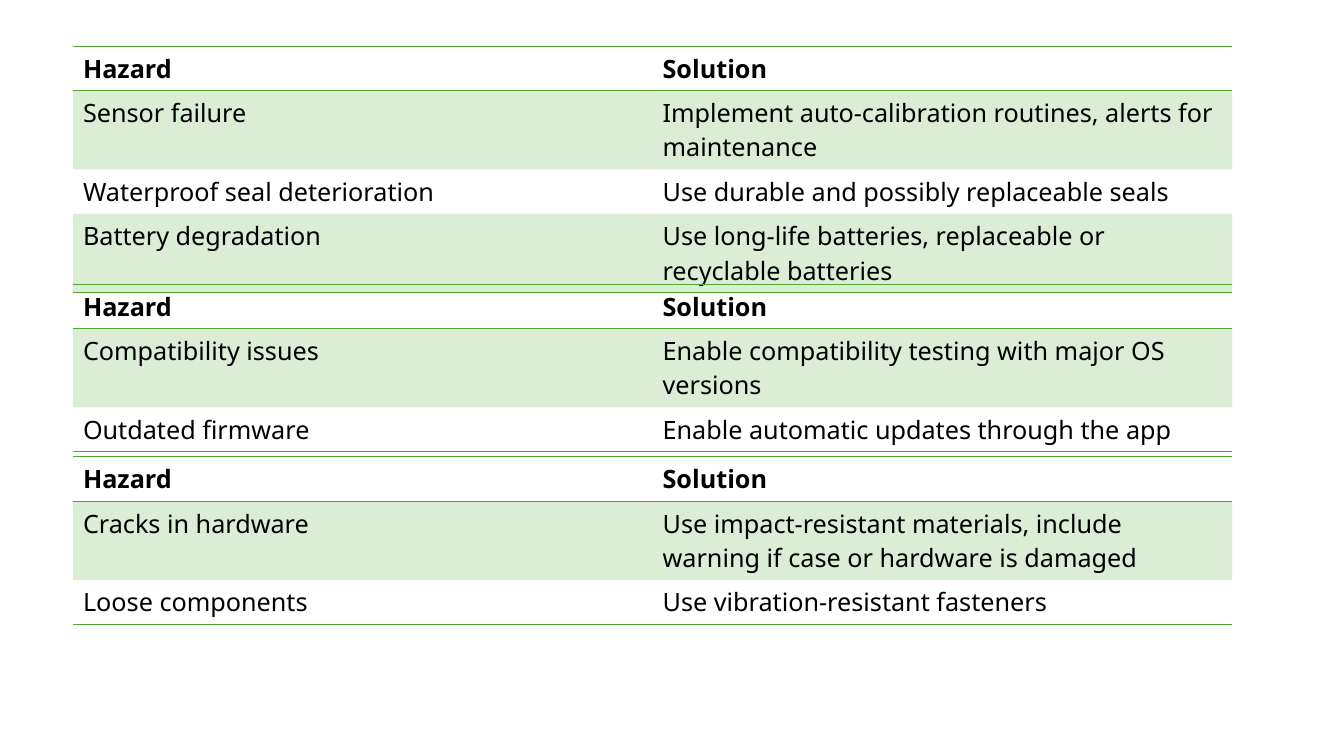
from lxml.etree import SubElement
from pptx import Presentation
from pptx.dml.color import RGBColor
from pptx.oxml import parse_xml
from pptx.oxml.ns import nsdecls, qn
from pptx.util import Pt

GREEN = RGBColor(0x4E, 0xA7, 0x2E)
BLACK = RGBColor(0x00, 0x00, 0x00)
FONT = "Noto Sans"
PLAIN_STYLE = "{2D5ABB26-0587-4C30-8999-92F81FD0307C}"
LEFT, WIDTH, ROW_HEIGHT = Pt(52.1), Pt(828), Pt(29.2)
HEADINGS = ("Hazard", "Solution")

HAZARD_GROUPS = [
    (Pt(33.1), [
        ("Sensor failure",
         "Implement auto-calibration routines, alerts for maintenance"),
        ("Waterproof seal deterioration",
         "Use durable and possibly replaceable seals"),
        ("Battery degradation",
         "Use long-life batteries, replaceable or recyclable batteries"),
    ]),
    (Pt(203.1), [
        ("Compatibility issues",
         "Enable compatibility testing with major OS versions"),
        ("Outdated firmware", "Enable automatic updates through the app"),
    ]),
    (Pt(326.2), [
        ("Cracks in hardware",
         "Use impact-resistant materials, include warning if case or "
         "hardware is damaged"),
        ("Loose components", "Use vibration-resistant fasteners"),
    ]),
]


def rule_cell(cell, edges):
    """Draw a green rule along the given edges of a cell."""
    properties = cell._tc.get_or_add_tcPr()
    for position, edge in enumerate(edges):
        properties.insert(position, parse_xml(
            f'<a:{edge} {nsdecls("a")} w="{Pt(1)}"><a:solidFill>'
            f'<a:srgbClr val="{GREEN}"/></a:solidFill></a:{edge}>'))


def shade_cell(cell, banded):
    """Give a cell the translucent green band, or leave it clear."""
    if not banded:
        cell.fill.background()
        return
    cell.fill.solid()
    cell.fill.fore_color.rgb = GREEN
    for colour in cell._tc.tcPr.iter(qn("a:srgbClr")):
        SubElement(colour, qn("a:alpha"), val="20000")


def write_cell(cell, wording, bold):
    """Write one run of table text."""
    run = cell.text_frame.paragraphs[0].add_run()
    run.text = wording
    run.font.name = FONT
    run.font.size = Pt(18)
    run.font.bold = bold
    run.font.color.rgb = BLACK


def add_hazard_table(slide, left, top, width, hazards):
    """Place a table of hazards and their solutions."""
    rows = [HEADINGS, *hazards]
    frame = slide.shapes.add_table(
        len(rows), len(HEADINGS), left, top, width, ROW_HEIGHT * len(rows))
    for style in frame.element.iter(qn("a:tableStyleId")):
        style.text = PLAIN_STYLE
    table = frame.table
    for row, entry in enumerate(rows):
        for column, wording in enumerate(entry):
            cell = table.cell(row, column)
            write_cell(cell, wording, row == 0)
            shade_cell(cell, row % 2 == 1)
            if row == 0:
                rule_cell(cell, ("lnT", "lnB"))
            elif row == len(rows) - 1:
                rule_cell(cell, ("lnB",))


def main():
    """Build the hazard slide."""
    presentation = Presentation()
    presentation.slide_width, presentation.slide_height = Pt(960), Pt(540)
    slide = presentation.slides.add_slide(presentation.slide_layouts[6])
    for top, hazards in HAZARD_GROUPS:
        add_hazard_table(slide, LEFT, top, WIDTH, hazards)
    presentation.save("out.pptx")


if __name__ == "__main__":
    main()
